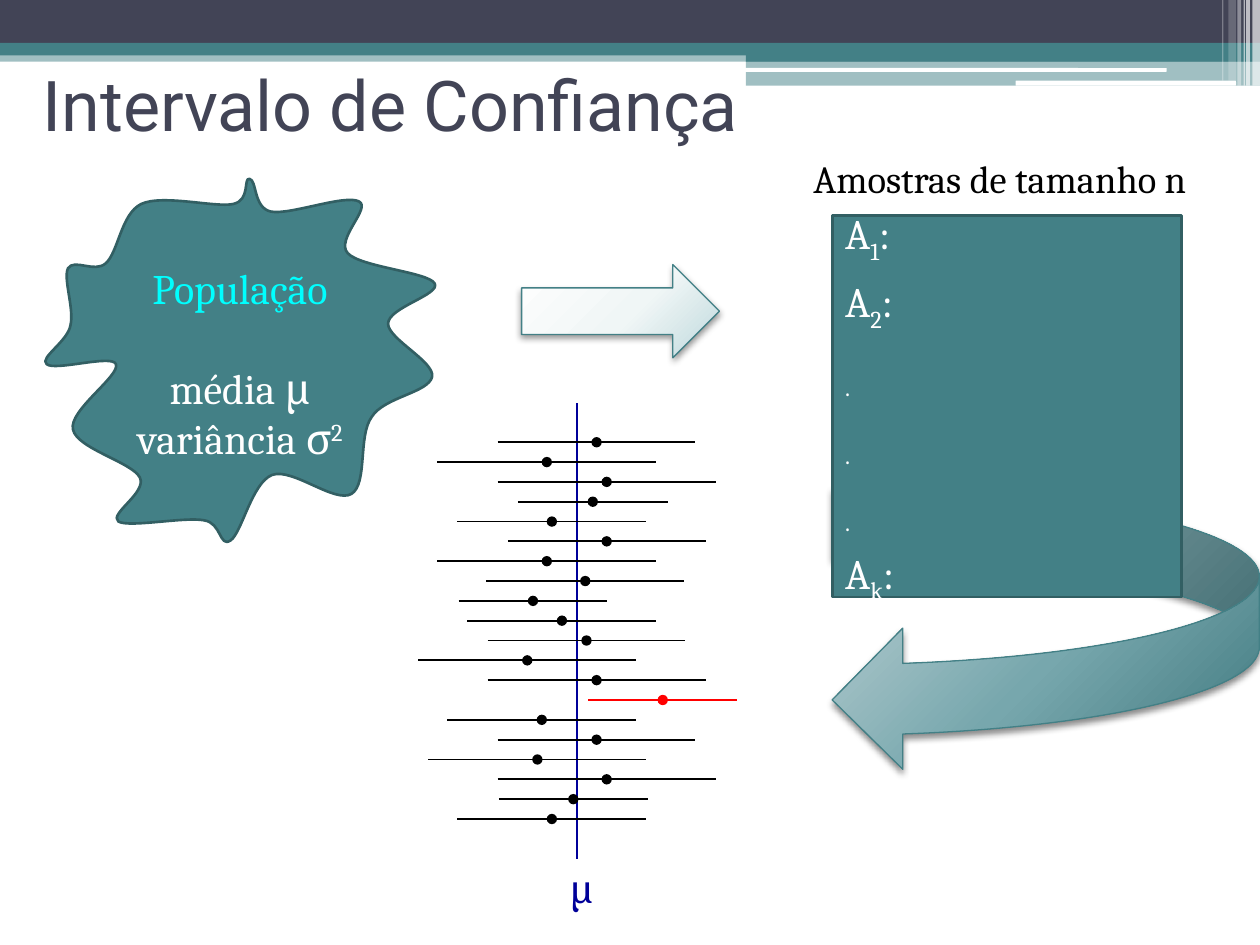
import pptx
import pptx.util
import pptx.dml.color
import pptx.enum.shapes
import pptx.enum.text
import pptx.oxml
import pptx.oxml.ns
from lxml import etree

Inches, Pt, qn = pptx.util.Inches, pptx.util.Pt, pptx.oxml.ns.qn
SHAPE = pptx.enum.shapes.MSO_SHAPE
STRAIGHT = pptx.enum.shapes.MSO_CONNECTOR.STRAIGHT
ALIGN = pptx.enum.text.PP_ALIGN
ANCHOR = pptx.enum.text.MSO_ANCHOR
DRAWING = 'xmlns:a="http://schemas.openxmlformats.org/drawingml/2006/main"'


def rgb(value):
    return pptx.dml.color.RGBColor.from_string(value)


def write(shape, paragraphs, size, colour, font="Cambria", align=ALIGN.LEFT, anchor=ANCHOR.TOP):
    """Fill a shape with paragraphs, each a list of (text, baseline percent) runs."""
    frame = shape.text_frame
    frame.word_wrap = True
    frame.vertical_anchor = anchor
    for index, parts in enumerate(paragraphs):
        paragraph = frame.add_paragraph() if index else frame.paragraphs[0]
        paragraph.alignment = align
        for text, baseline in parts:
            run = paragraph.add_run()
            run.text = text
            run.font.size = Pt(size)
            run.font.name = font
            run.font.color.rgb = rgb(colour)
            if baseline:
                run.font._element.set("baseline", str(baseline * 1000))


prs = pptx.Presentation()
prs.slide_width, prs.slide_height = Inches(10), Inches(7.5)
slide = prs.slides.add_slide(prs.slide_layouts[6])
shapes = slide.shapes

# Header bands and stripes: left, top, width, height, colour, opacity
header = [
    (0, 0.4, 10, 0.09, "438086", 50),
    (0, 0, 10, 0.34, "424456", 100),
    (0, 0.34, 10, 0.1, "438086", 100),
    (5.92, 0.39, 4.08, 0.1, "438086", 100),
    (5.92, 0.48, 4.08, 0.2, "438086", 50),
    (5.91, 0.54, 3.35, 0.03, "FFFFFF", 100),
    (8.06, 0.64, 1.75, 0.04, "FFFFFF", 100),
    (9.94, 0, 0.06, 0.68, "FFFFFF", 65),
    (9.89, 0, 0.03, 0.68, "FFFFFF", 65),
    (9.87, 0, 0.01, 0.68, "FFFFFF", 60),
    (9.82, 0, 0.03, 0.68, "FFFFFF", 40),
    (9.75, 0, 0.06, 0.64, "FFFFFF", 20),
    (9.7, 0, 0.01, 0.64, "FFFFFF", 30),
]
for left, top, width, height, colour, opacity in header:
    rounded = colour == "FFFFFF" and opacity == 100
    kind = SHAPE.ROUNDED_RECTANGLE if rounded else SHAPE.RECTANGLE
    band = shapes.add_shape(kind, Inches(left), Inches(top), Inches(width), Inches(height))
    band.shadow.inherit = False
    band.line.fill.background()
    band.fill.solid()
    band.fill.fore_color.rgb = rgb(colour)
    if opacity < 100:
        tint = band._element.spPr.find(".//" + qn("a:srgbClr"))
        etree.SubElement(tint, qn("a:alpha")).set("val", str(opacity * 1000))

# Gradient arrows: from the samples to the intervals, from the population to the samples
arrows = [
    (SHAPE.CURVED_DOWN_ARROW, 7.18, 3.3, 2.24, 3.39, 90, ("C7D7DA", "77A7AD", "3E777D"), 45),
    (SHAPE.RIGHT_ARROW, 4.14, 2.1, 1.57, 0.74, 0, ("FEFEFE", "F0F6F6", "BFD9DD"), 40),
]
for kind, left, top, width, height, rotation, colours, shade in arrows:
    arrow = shapes.add_shape(kind, Inches(left), Inches(top), Inches(width), Inches(height))
    arrow.rotation = rotation
    arrow.line.color.rgb = rgb("438086")
    arrow.line.width = Pt(0.75)
    stops = "".join(f'<a:gs pos="{place}000"><a:srgbClr val="{colour}"/></a:gs>'
                    for place, colour in zip((0, 55, 100), colours))
    properties = arrow._element.spPr
    properties.find(qn("a:prstGeom")).addnext(pptx.oxml.parse_xml(
        f'<a:gradFill {DRAWING} rotWithShape="1"><a:gsLst>{stops}</a:gsLst><a:path path="circle">'
        '<a:fillToRect l="-40000" t="-90000" r="140000" b="190000"/></a:path></a:gradFill>'))
    properties.append(pptx.oxml.parse_xml(
        f'<a:effectLst {DRAWING}><a:outerShdw blurRad="{Pt(4)}" dist="{Pt(2)}" dir="5400000" '
        f'rotWithShape="0"><a:srgbClr val="000000"><a:alpha val="{shade}000"/></a:srgbClr>'
        '</a:outerShdw></a:effectLst>'))

# Title
title = shapes.add_textbox(Inches(0.24), Inches(0.24), Inches(9.58), Inches(1.17))
write(title, [[("Intervalo de Confiança", 0)]], 40, "424456", "Roboto", anchor=ANCHOR.MIDDLE)

# Population blob: each row holds two control points and the end of one curve
blob_start = (1.85, 1.62)
blob_curves = [
    (1.71, 1.65), (1.29, 1.54), (1.12, 1.62),
    (0.96, 1.7), (0.94, 2), (0.84, 2.09),
    (0.75, 2.17), (0.59, 2.05), (0.54, 2.13),
    (0.5, 2.21), (0.59, 2.45), (0.56, 2.58),
    (0.54, 2.71), (0.31, 2.84), (0.37, 2.89),
    (0.43, 2.95), (0.89, 2.81), (0.92, 2.89),
    (0.96, 2.98), (0.54, 3.26), (0.58, 3.41),
    (0.61, 3.56), (1.05, 3.67), (1.11, 3.79),
    (1.17, 3.91), (0.86, 4.08), (0.94, 4.14),
    (1.03, 4.19), (1.47, 4.1), (1.62, 4.13),
    (1.76, 4.15), (1.74, 4.35), (1.83, 4.29),
    (1.92, 4.23), (2, 3.83), (2.16, 3.77),
    (2.32, 3.71), (2.66, 4), (2.79, 3.92),
    (2.92, 3.84), (2.84, 3.46), (2.95, 3.31),
    (3.05, 3.15), (3.4, 3.12), (3.43, 2.99),
    (3.45, 2.87), (3.08, 2.69), (3.08, 2.57),
    (3.08, 2.44), (3.5, 2.34), (3.45, 2.25),
    (3.4, 2.16), (2.86, 2.12), (2.76, 2.01),
    (2.66, 1.9), (2.95, 1.65), (2.85, 1.6),
    (2.74, 1.54), (2.3, 1.71), (2.15, 1.68),
    (2.01, 1.65), (2.04, 1.43), (1.98, 1.42),
    (1.93, 1.41), (1.99, 1.59), blob_start,
]
outline = shapes.build_freeform(Inches(blob_start[0]), Inches(blob_start[1]))
outline.add_line_segments([(Inches(x), Inches(y)) for x, y in blob_curves], close=True)
population = outline.convert_to_shape()
# Turn every three segments into one Bézier curve
segments = population._element.spPr.findall(".//" + qn("a:lnTo"))
for first in range(0, len(segments), 3):
    curve = etree.Element(qn("a:cubicBezTo"))
    segments[first].addprevious(curve)
    for segment in segments[first:first + 3]:
        curve.append(segment[0])
        segment.getparent().remove(segment)

# Samples box and its heading
heading = shapes.add_textbox(Inches(6.17), Inches(1.18), Inches(3.53), Inches(0.47))
write(heading, [[("Amostras de tamanho n", 0)]], 22, "000000", align=ALIGN.CENTER)
samples = shapes.add_shape(SHAPE.RECTANGLE, Inches(6.61), Inches(1.71), Inches(2.77), Inches(3.03))
for panel in (population, samples):
    panel.shadow.inherit = False
    panel.fill.solid()
    panel.fill.fore_color.rgb = rgb("438086")
    panel.line.color.rgb = rgb("325F63")
    panel.line.width = Pt(1.5)

write(population, [[("População", 0)], [("média μ", 0)], [("variância σ", 0), ("2", 30)]],
      24, "FFFFFF", align=ALIGN.CENTER, anchor=ANCHOR.MIDDLE)
name, mean = population.text_frame.paragraphs[:2]
name.runs[0].font.color.rgb = rgb("00FFFF")
mean.space_before = Pt(28)

sample_1, sample_2, sample_k = ([("A", 0), (index, -25), (":", 0)] for index in "12k")
write(samples, [sample_1, sample_2] + [[(".", -25)]] * 3 + [sample_k],
      24, "FFFFFF", anchor=ANCHOR.MIDDLE)
for paragraph in samples.text_frame.paragraphs:
    paragraph.space_after = Pt(6)

# Confidence intervals: left and right ends, evenly spaced from top to bottom
intervals = [
    (3.95, 5.52), (3.47, 5.21), (3.95, 5.68), (4.11, 5.3), (3.63, 5.13),
    (4.03, 5.6), (3.47, 5.21), (3.86, 5.43), (3.64, 4.82), (3.71, 5.21),
    (3.87, 5.44), (3.32, 5.05), (3.87, 5.6), (4.67, 5.85), (3.55, 5.05),
    (3.95, 5.52), (3.4, 5.13), (3.95, 5.68), (3.96, 5.14), (3.63, 5.13),
]
mu = 4.58
first_row, last_row = 3.51, 6.5
row_gap = (last_row - first_row) / (len(intervals) - 1)

# Each line: start, end, colour, width, dot at its start
lines = [(mu, 3.2, mu, 6.82, "000099", 1.5, False)]
for row, (low, high) in enumerate(intervals):
    y = first_row + row * row_gap
    centre = (low + high) / 2
    colour = "000000" if low < mu < high else "FF0000"
    lines.append((centre, y, high, y, colour, 1, True))
    lines.append((low, y, centre, y, colour, 1, False))

plot = shapes.add_group_shape().shapes
for x1, y1, x2, y2, colour, width, dotted in lines:
    line = plot.add_connector(STRAIGHT, Inches(x1), Inches(y1), Inches(x2), Inches(y2))
    line.line.color.rgb = rgb(colour)
    line.line.width = Pt(width)
    if dotted:
        etree.SubElement(line.line._get_or_add_ln(), qn("a:headEnd")).set("type", "oval")
    etree.SubElement(line._element.spPr, qn("a:effectLst"))

mu_label = plot.add_textbox(Inches(3.71), Inches(6.82), Inches(1.81), Inches(0.47))
write(mu_label, [[("μ", 0)]], 22, "000099", align=ALIGN.CENTER)

prs.save("out.pptx")
